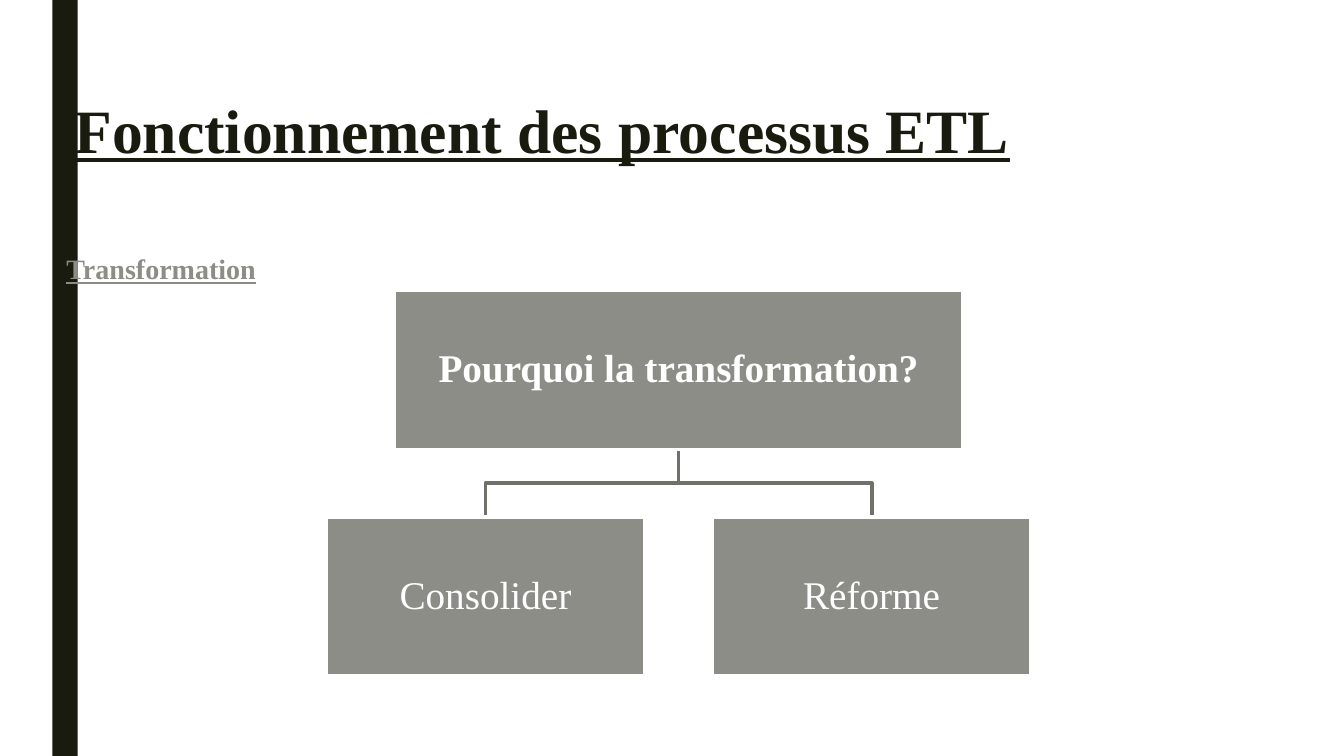
from pptx import Presentation
from pptx.dml.color import RGBColor
from pptx.enum.shapes import MSO_SHAPE
from pptx.enum.text import MSO_ANCHOR, PP_ALIGN
from pptx.util import Inches, Pt

RECT = MSO_SHAPE.RECTANGLE
MIDDLE, TOP = MSO_ANCHOR.MIDDLE, MSO_ANCHOR.TOP
LEFT, CENTER = PP_ALIGN.LEFT, PP_ALIGN.CENTER

DARK = RGBColor(0x19, 0x1B, 0x0E)
GRAY = RGBColor(0x8C, 0x8D, 0x86)
LINK = RGBColor(0x70, 0x71, 0x6B)
WHITE = RGBColor(0xFF, 0xFF, 0xFF)

FONT = "Times New Roman"
STROKE = Pt(2.75)

# Tree layout, in inches
HUB = 6.73
ROOT_TOP, ROOT_W = 2.88, 5.64
LEAF_TOP, LEAF_W = 5.13, 3.16
BOX_H = 1.58
STEP = 3.83


def put_text(shape, text, size, color, bold=False, line=False,
             align=LEFT, anchor=TOP, inset=None, space=1.0):
    frame = shape.text_frame
    frame.word_wrap = True
    frame.vertical_anchor = anchor
    if inset is not None:
        frame.margin_left = frame.margin_right = Inches(inset)
        frame.margin_top = frame.margin_bottom = Inches(inset)
    para = frame.paragraphs[0]
    para.alignment = align
    para.line_spacing = space
    run = para.add_run()
    run.text = text
    font = run.font
    font.name, font.size = FONT, Pt(size)
    font.bold, font.underline = bold, line
    font.color.rgb = color


def add_label(slide, text, left, top, width, height, **style):
    box = slide.shapes.add_textbox(
        Inches(left), Inches(top), Inches(width), Inches(height))
    put_text(box, text, bold=True, line=True, **style)


def add_rect(slide, left, top, width, height, fill, edge=None):
    rect = slide.shapes.add_shape(
        RECT, Inches(left), Inches(top), Inches(width), Inches(height))
    rect.shadow.inherit = False
    rect.fill.solid()
    rect.fill.fore_color.rgb = fill
    if edge is None:
        rect.line.fill.background()
    else:
        rect.line.color.rgb = edge
        rect.line.width = STROKE
    return rect


def add_node(slide, text, mid, top, width, bold=False):
    node = add_rect(slide, mid - width / 2, top, width, BOX_H, GRAY, WHITE)
    put_text(node, text, size=28, color=WHITE, bold=bold, align=CENTER,
             anchor=MIDDLE, inset=0.02, space=0.9)


def add_branch(slide, mid):
    start = ROOT_TOP + BOX_H
    bend = (start + LEAF_TOP) / 2
    pen = slide.shapes.build_freeform(Inches(HUB), Inches(start))
    turns = [(HUB, bend), (mid, bend), (mid, LEAF_TOP)]
    pen.add_line_segments(
        [(Inches(x), Inches(y)) for x, y in turns], close=False)
    branch = pen.convert_to_shape()
    branch.shadow.inherit = False
    branch.fill.background()
    branch.line.color.rgb = LINK
    branch.line.width = STROKE


def main():
    deck = Presentation()
    deck.slide_width, deck.slide_height = Inches(13.33), Inches(7.5)
    slide = deck.slides.add_slide(deck.slide_layouts[6])

    # Side band and headings
    add_rect(slide, 0.52, 0, 0.25, 7.5, DARK)
    add_label(slide, "Fonctionnement des processus ETL", 0.64, 0.77, 12.06,
              1.11, size=44, color=DARK, anchor=MIDDLE, space=0.89)
    add_label(slide, "Transformation", 0.56, 2.45, 6.67, 0.44,
              size=20, color=GRAY)

    # Tree: branches lie behind the boxes
    leaves = {"Consolider": HUB - STEP / 2, "Réforme": HUB + STEP / 2}
    for mid in leaves.values():
        add_branch(slide, mid)
    add_node(slide, "Pourquoi la transformation?", HUB, ROOT_TOP, ROOT_W,
             bold=True)
    for text, mid in leaves.items():
        add_node(slide, text, mid, LEAF_TOP, LEAF_W)

    deck.save("out.pptx")


if __name__ == "__main__":
    main()
